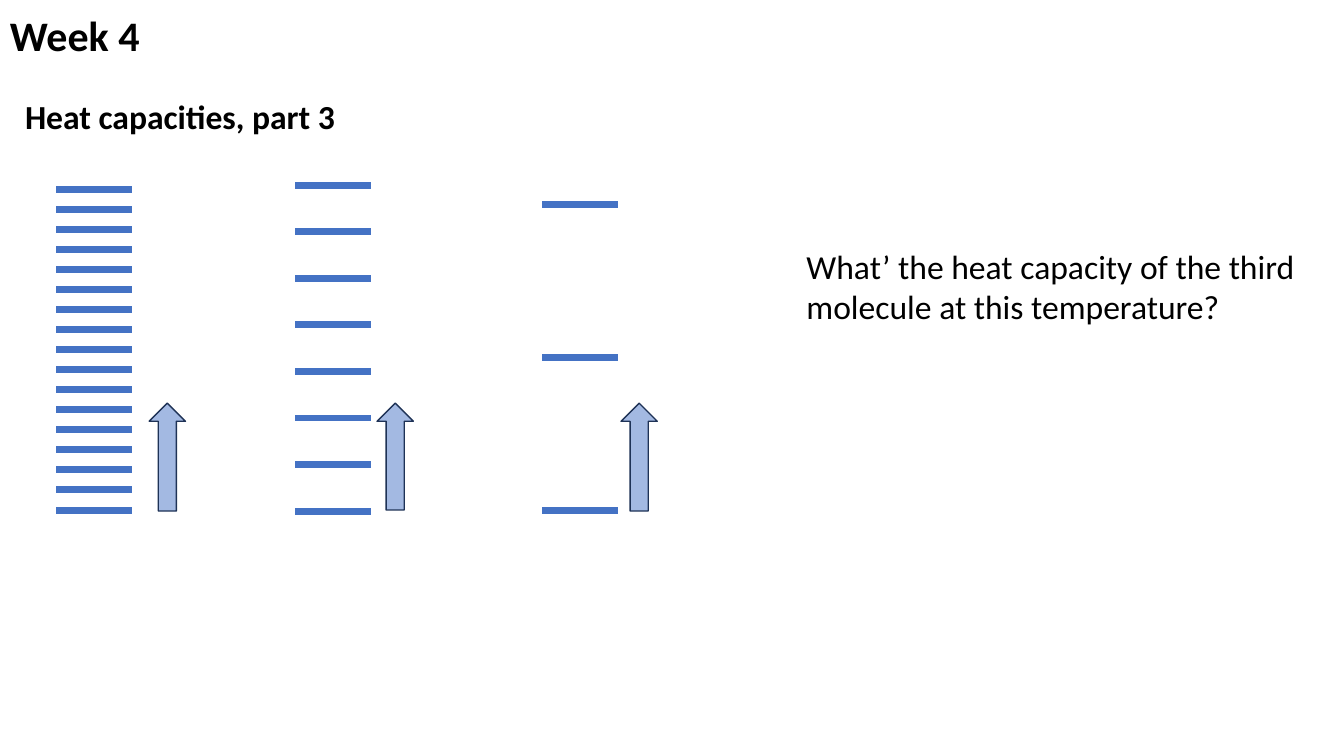
from lxml import etree
from pptx import Presentation
from pptx.dml.color import RGBColor
from pptx.enum.shapes import MSO_CONNECTOR, MSO_SHAPE
from pptx.enum.text import MSO_ANCHOR
from pptx.oxml.ns import qn
from pptx.util import Inches, Pt

STRAIGHT = MSO_CONNECTOR.STRAIGHT
UP_ARROW = MSO_SHAPE.UP_ARROW
TOP, BOTTOM = MSO_ANCHOR.TOP, MSO_ANCHOR.BOTTOM

WIDTH, HEIGHT = 13.33, 7.5
FONT = "Calibri"
BLACK, BLUE, NAVY = "000000", "4472C4", "1E3256"

TITLE = "Week 4"
SUBTITLE = "Heat capacities, part 3"
QUESTION = "What’ the heat capacity of the third molecule at this temperature?"

# Energy ladders: left edge, lowest level, highest level, number of levels
LADDERS = [
    (0.56, 5.06, 1.88, 17),
    (2.93, 5.07, 1.84, 8),
    (5.38, 5.06, 2.03, 3),
]
LEVEL_WIDTH = 0.75
# Thermal energy arrows: left edge, height
ARROWS = [(1.48, 1.07), (3.74, 1.06), (6.16, 1.07)]
ARROW_TOP, ARROW_WIDTH = 4, 0.36


def color(value):
    return RGBColor.from_string(value)


def add_text(page, text, left, top, width, height, size=24, bold=False,
             anchor=TOP, spacing=None):
    box = page.shapes.add_textbox(
        Inches(left), Inches(top), Inches(width), Inches(height))
    frame = box.text_frame
    frame.word_wrap = True
    frame.vertical_anchor = anchor
    para = frame.paragraphs[0]
    if spacing:
        para.line_spacing = spacing
    span = para.add_run()
    span.text = text
    span.font.name = FONT
    span.font.size = Pt(size)
    span.font.bold = bold
    span.font.color.rgb = color(BLACK)


def add_level(page, left, y):
    level = page.shapes.add_connector(
        STRAIGHT, Inches(left), Inches(y), Inches(left + LEVEL_WIDTH), Inches(y))
    level.line.color.rgb = color(BLUE)
    level.line.width = Pt(5)
    properties = level.element.find(qn("p:spPr"))
    etree.SubElement(properties, qn("a:effectLst"))


def add_arrow(page, left, height):
    arrow = page.shapes.add_shape(
        UP_ARROW, Inches(left), Inches(ARROW_TOP), Inches(ARROW_WIDTH), Inches(height))
    arrow.shadow.inherit = False
    arrow.fill.solid()
    arrow.fill.fore_color.rgb = color(BLUE)
    fill_color = arrow.element.spPr.find(qn("a:solidFill")).find(qn("a:srgbClr"))
    etree.SubElement(fill_color, qn("a:alpha"), val="49000")
    arrow.line.color.rgb = color(NAVY)
    arrow.line.width = Pt(1)


def main():
    deck = Presentation()
    deck.slide_width, deck.slide_height = Inches(WIDTH), Inches(HEIGHT)
    page = deck.slides.add_slide(deck.slide_layouts[6])

    for left, lowest, highest, count in LADDERS:
        step = (lowest - highest) / (count - 1)
        for index in range(count):
            add_level(page, left, lowest - index * step)
    for left, height in ARROWS:
        add_arrow(page, left, height)

    add_text(page, TITLE, 0, 0, WIDTH, 0.65, size=30, bold=True,
             anchor=BOTTOM, spacing=0.9)
    add_text(page, SUBTITLE, 0.15, 0.9, 11.27, 0.5, bold=True)
    add_text(page, QUESTION, 7.9, 2.39, 5.22, 0.91)
    deck.save("out.pptx")


if __name__ == "__main__":
    main()
